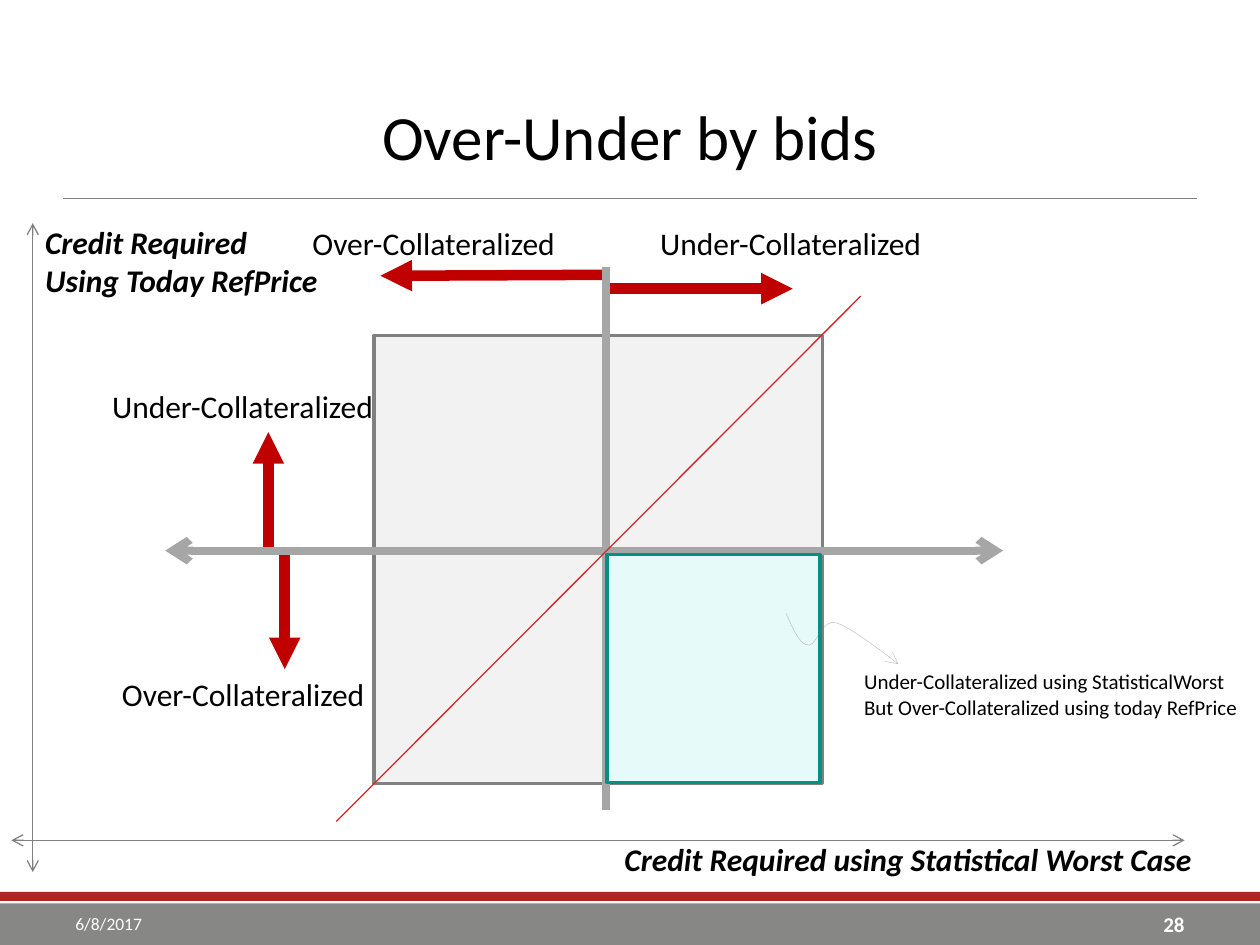
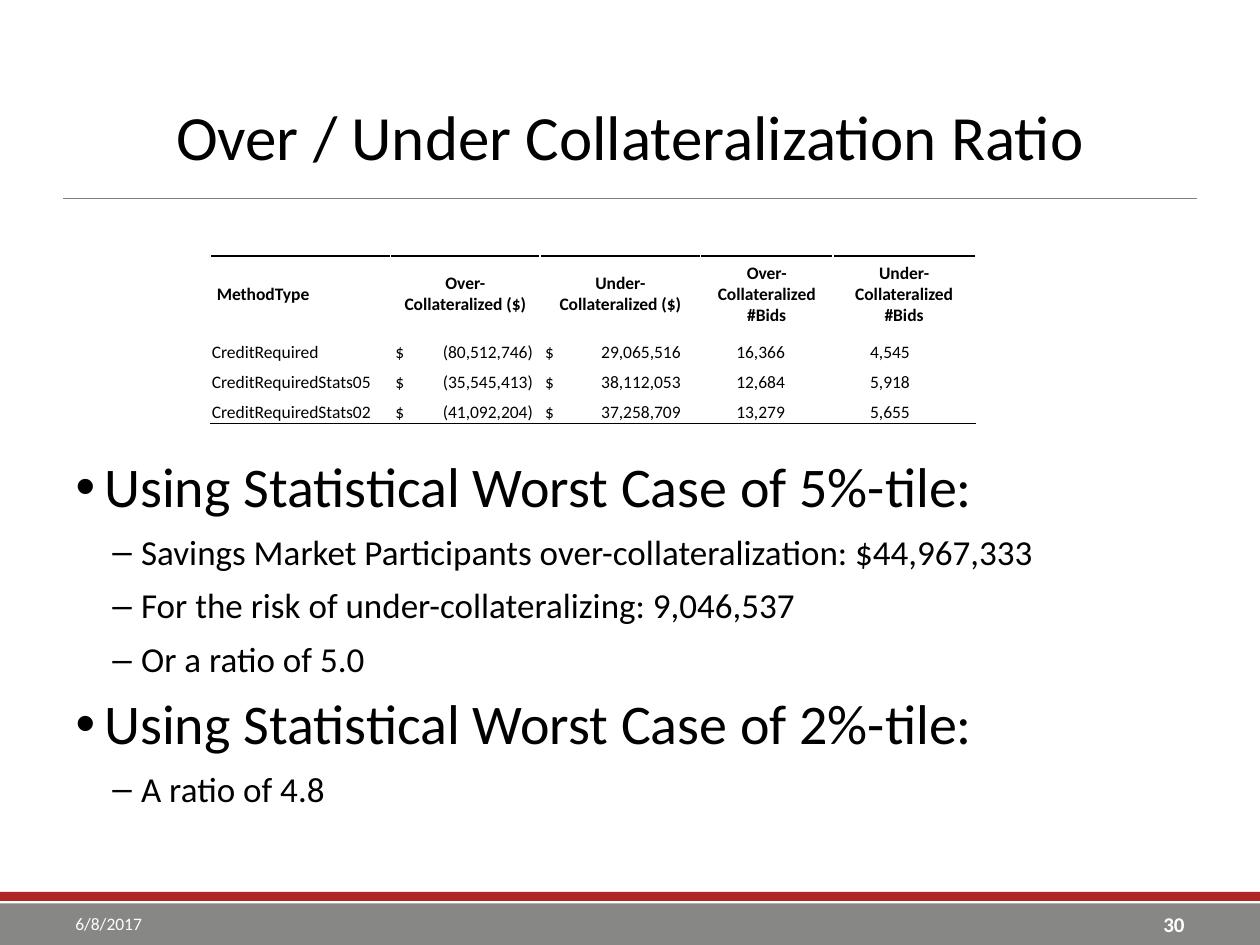
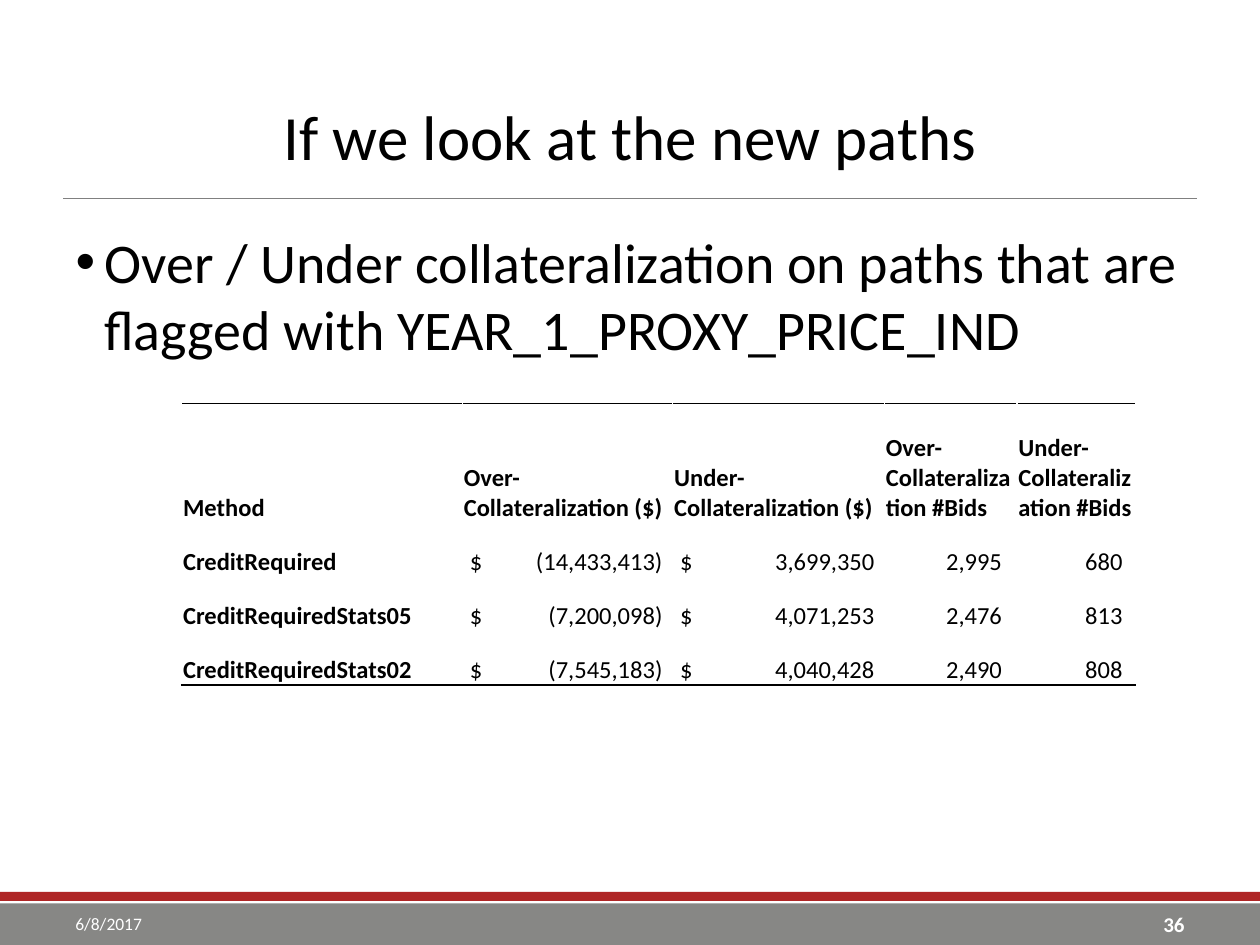
from dataclasses import dataclass

from lxml.etree import SubElement
from pptx import Presentation
from pptx.dml.color import RGBColor
from pptx.enum.shapes import MSO_CONNECTOR, MSO_SHAPE
from pptx.enum.text import MSO_ANCHOR, MSO_AUTO_SIZE, PP_ALIGN
from pptx.oxml.ns import qn
from pptx.util import Cm, Pt

# Shared look
FONT = "Calibri"
BLACK = RGBColor(0x00, 0x00, 0x00)
WHITE = RGBColor(0xFF, 0xFF, 0xFF)
BAND_RED = RGBColor(0xAF, 0x26, 0x26)
BAND_GRAY = RGBColor(0x87, 0x87, 0x85)
RULE_GRAY = RGBColor(0x80, 0x80, 0x80)
AXIS_GRAY = RGBColor(0xA6, 0xA6, 0xA6)
CURVE_GRAY = RGBColor(0x7F, 0x7F, 0x7F)
PALE_GRAY = RGBColor(0xF2, 0xF2, 0xF2)
ARROW_RED = RGBColor(0xC0, 0x00, 0x00)
DIAGONAL_RED = RGBColor(0xD0, 0x27, 0x2A)
TEAL = RGBColor(0x08, 0x8F, 0x7F)
PALE_TEAL = RGBColor(0xE7, 0xFA, 0xFA)

SLIDE_WIDTH, SLIDE_HEIGHT = 25.4, 19.05
MARGIN = 1.27
CONTENT_WIDTH = SLIDE_WIDTH - 2 * MARGIN
DATE = "6/8/2017"
TITLE_ONLY, TITLE_AND_BODY = 5, 1

Point = tuple[float, float]  # centimetres


@dataclass(frozen=True)
class Frame:
    left: float
    top: float
    width: float
    height: float

    def lengths(self) -> tuple:
        return Cm(self.left), Cm(self.top), Cm(self.width), Cm(self.height)


@dataclass(frozen=True)
class Line:
    start: Point
    end: Point
    color: RGBColor
    weight: float
    head: str = ""
    tail: str = ""


@dataclass(frozen=True)
class Label:
    frame: Frame
    lines: tuple[str, ...]
    size: float = 18
    strong: bool = False  # bold italic


@dataclass(frozen=True)
class Bullet:
    text: str
    level: int = 0


@dataclass(frozen=True)
class Column:
    heading: str
    width: float
    left: float = 0.03
    right: float = 0.03
    kind: str = "text"  # text, money or count


@dataclass(frozen=True)
class TableStyle:
    size: float
    header_height: float
    row_height: float
    header_inset: float
    header_anchor: MSO_ANCHOR
    header_align: PP_ALIGN
    bold_names: bool


# Text and drawing helpers
def style(para, size: float, color: RGBColor = BLACK, bold: bool = False, italic: bool = False) -> None:
    font = para.font
    font.name, font.size, font.bold, font.italic = FONT, Pt(size), bold, italic
    font.color.rgb = color


def add_ends(line, head: str, tail: str) -> None:
    outline = line._get_or_add_ln()
    for tag, kind in (("a:headEnd", head), ("a:tailEnd", tail)):
        if kind:
            SubElement(outline, qn(tag)).set("type", kind)


def draw_line(page, spec: Line):
    start, end = map(Cm, spec.start), map(Cm, spec.end)
    connector = page.shapes.add_connector(MSO_CONNECTOR.STRAIGHT, *start, *end)
    connector.line.color.rgb = spec.color
    connector.line.width = Pt(spec.weight)
    add_ends(connector.line, spec.head, spec.tail)
    SubElement(connector.element.spPr, qn("a:effectLst"))
    return connector


def draw_box(page, frame: Frame, fill: RGBColor, outline: RGBColor | None = None):
    box = page.shapes.add_shape(MSO_SHAPE.RECTANGLE, *frame.lengths())
    box.shadow.inherit = False
    box.fill.solid()
    box.fill.fore_color.rgb = fill
    if outline is None:
        box.line.fill.background()
    else:
        box.line.color.rgb = outline
        box.line.width = Pt(2)
    return box


def draw_label(page, label: Label) -> None:
    frame = page.shapes.add_textbox(*label.frame.lengths()).text_frame
    frame.word_wrap = False
    frame.auto_size = MSO_AUTO_SIZE.SHAPE_TO_FIT_TEXT
    frame.text = "\n".join(label.lines)
    for para in frame.paragraphs:
        style(para, label.size, bold=label.strong, italic=label.strong)


def draw_curve(page, start: Point, segments: list[tuple[Point, Point, Point]]) -> None:
    """Thin arrow along cubic curves, each given by two controls and an end."""
    steps, points = 10, []
    anchor = start
    for first, second, end in segments:
        for step in range(1, steps + 1):
            t = step / steps
            weights = ((1 - t) ** 3, 3 * t * (1 - t) ** 2, 3 * t * t * (1 - t), t ** 3)
            corners = (anchor, first, second, end)
            points.append(tuple(
                Cm(sum(w * corner[axis] for w, corner in zip(weights, corners)))
                for axis in (0, 1)
            ))
        anchor = end
    builder = page.shapes.build_freeform(*map(Cm, start))
    builder.add_line_segments(points, close=False)
    curve = builder.convert_to_shape()
    curve.shadow.inherit = False
    curve.fill.background()
    curve.line.color.rgb = CURVE_GRAY
    curve.line.width = Pt(0.25)
    color = curve.line._get_or_add_ln().find(".//" + qn("a:srgbClr"))
    SubElement(color, qn("a:alpha")).set("val", "50000")
    add_ends(curve.line, "", "arrow")


# Page furniture
def add_bands(deck, page) -> None:
    """Draw the bands and title rule, then move them to the master."""
    parts = [
        draw_box(page, Frame(0, 17.98, SLIDE_WIDTH, 0.18), BAND_RED),
        draw_box(page, Frame(0, 18.21, SLIDE_WIDTH, 0.84), BAND_GRAY),
        draw_line(page, Line((MARGIN, 4.01), (SLIDE_WIDTH - MARGIN, 4.01), RULE_GRAY, 0.5)),
    ]
    for number, part in enumerate(parts, start=101):
        part.element.find(".//" + qn("p:cNvPr")).set("id", str(number))
        deck.slide_master.shapes.element.append(part.element)


def place(shape, frame: Frame) -> None:
    shape.left, shape.top, shape.width, shape.height = frame.lengths()


def add_footer(page, left: float, text: str, size: float, align: PP_ALIGN, bold: bool) -> None:
    frame = page.shapes.add_textbox(*Frame(left, 18.24, 5.92, 0.76).lengths()).text_frame
    frame.word_wrap = True
    frame.vertical_anchor = MSO_ANCHOR.MIDDLE
    para = frame.paragraphs[0]
    para.text, para.alignment = text, align
    style(para, size, WHITE, bold)


def add_page(deck, layout: int, title: str, number: int):
    page = deck.slides.add_slide(deck.slide_layouts[layout])
    heading = page.shapes.title
    place(heading, Frame(MARGIN, 1.52, CONTENT_WIDTH, 2.41))
    heading.text_frame.text = title
    heading.text_frame.auto_size = MSO_AUTO_SIZE.NONE
    heading.text_frame.vertical_anchor = MSO_ANCHOR.MIDDLE
    para = heading.text_frame.paragraphs[0]
    para.alignment = PP_ALIGN.CENTER
    style(para, 36)
    add_footer(page, SLIDE_WIDTH - MARGIN - 5.92, str(number), 12, PP_ALIGN.RIGHT, True)
    add_footer(page, MARGIN, DATE, 10, PP_ALIGN.LEFT, False)
    return page


def fill_body(page, bullets: list[Bullet], spacing: float, top_inset: float = 0.13) -> None:
    body = page.placeholders[1]
    place(body, Frame(MARGIN, 4.45, CONTENT_WIDTH, 12.57))
    frame = body.text_frame
    frame.auto_size = MSO_AUTO_SIZE.NONE
    frame.margin_top = Cm(top_inset)
    frame.text = "\n".join(bullet.text for bullet in bullets)
    for para, bullet in zip(frame.paragraphs, bullets):
        para.level = bullet.level
        para.line_spacing = spacing
        para.space_before = Pt(9)
        properties = para._p.get_or_add_pPr()
        properties.set("marL", str(Cm((0.58, 1.32)[bullet.level])))
        properties.set("indent", str(-Cm(0.58)))
        SubElement(properties, qn("a:buChar")).set("char", "•–"[bullet.level])
        style(para, (32, 20)[bullet.level])


# Tables
def add_border(cell, tag: str) -> None:
    border = SubElement(cell._tc.get_or_add_tcPr(), qn(tag))
    border.set("w", str(Pt(1)))
    fill = SubElement(border, qn("a:solidFill"))
    SubElement(fill, qn("a:srgbClr")).set("val", str(BLACK))


def fill_value(cell, column: Column, value: str) -> None:
    para = cell.text_frame.paragraphs[0]
    cell.margin_left, cell.margin_right = Cm(column.left), Cm(column.right)
    cell.margin_top, cell.margin_bottom = Cm(0.03), 0
    cell.vertical_anchor = MSO_ANCHOR.BOTTOM
    if column.kind == "money":  # dollar sign left, amount on a right tab
        para.text = f"$\t{value}"
        cell.margin_right = 0
        tabs = SubElement(para._p.get_or_add_pPr(), qn("a:tabLst"))
        tab = SubElement(tabs, qn("a:tab"))
        tab.set("pos", str(Cm(column.width - column.left - column.right)))
        tab.set("algn", "r")
    else:
        para.text = value
        para.alignment = PP_ALIGN.RIGHT if column.kind == "count" else PP_ALIGN.LEFT


def fill_heading(cell, column: Column, look: TableStyle) -> None:
    para = cell.text_frame.paragraphs[0]
    para.text = column.heading
    para.alignment = PP_ALIGN.LEFT if column.kind == "text" else look.header_align
    cell.vertical_anchor = look.header_anchor
    inset = Cm(look.header_inset)
    cell.margin_left = cell.margin_right = cell.margin_top = inset
    cell.margin_bottom = inset if look.header_anchor == MSO_ANCHOR.MIDDLE else 0


def draw_table(page, corner: Point, columns: list[Column], records: list[tuple], look: TableStyle) -> None:
    width = sum(column.width for column in columns)
    height = look.header_height + look.row_height * len(records)
    table = page.shapes.add_table(
        len(records) + 1, len(columns), *Frame(*corner, width, height).lengths()
    ).table
    table.first_row = table.horz_banding = False
    for index, row in enumerate(table.rows):
        row.height = Cm(look.row_height if index else look.header_height)
    for across, column in enumerate(columns):
        table.columns[across].width = Cm(column.width)
        for down in range(len(records) + 1):
            cell = table.cell(down, across)
            if down == 0:
                fill_heading(cell, column, look)
                add_border(cell, "a:lnT")
            else:
                fill_value(cell, column, records[down - 1][across])
            if down in (0, len(records)):
                add_border(cell, "a:lnB")
            cell.fill.background()
            bold = down == 0 or (across == 0 and look.bold_names)
            style(cell.text_frame.paragraphs[0], look.size, bold=bold)


deck = Presentation()
deck.slide_width, deck.slide_height = Cm(SLIDE_WIDTH), Cm(SLIDE_HEIGHT)

# Slide 1: quadrant diagram
page = add_page(deck, TITLE_ONLY, "Over-Under by bids", 28)
add_bands(deck, page)
CENTER_X, CENTER_Y = 12.22, 11.1
OVER, UNDER = "Over-Collateralized", "Under-Collateralized"

for start, end in (
    ((5.41, 11.05), (5.41, 8.71)),
    ((5.74, CENTER_Y), (5.74, 13.49)),
    ((CENTER_X, 5.54), (7.67, 5.56)),
    ((CENTER_X, 5.82), (15.98, 5.82)),
):
    draw_line(page, Line(start, end, ARROW_RED, 6, tail="triangle"))

draw_box(page, Frame(7.54, 6.76, 9.04, 9.04), PALE_GRAY, RULE_GRAY)
for line in (
    Line((3.33, CENTER_Y), (20.22, CENTER_Y), AXIS_GRAY, 4.5, "arrow", "arrow"),
    Line((CENTER_X, 5.38), (CENTER_X, 16.33), AXIS_GRAY, 4.5),
    Line((6.78, 16.56), (17.35, 5.97), DIAGONAL_RED, 0.75),
    Line((0.66, 4.5), (0.66, 17.58), RULE_GRAY, 0.75, "arrow", "arrow"),
    Line((23.88, 16.94), (0.23, 16.94), RULE_GRAY, 0.75, "arrow", "arrow"),
):
    draw_line(page, line)

for label in (
    Label(Frame(2.01, 7.67, 5.84, 1.02), (UNDER,)),
    Label(Frame(6.05, 4.39, 5.46, 1.02), (OVER,)),
    Label(Frame(13.06, 4.39, 5.84, 1.02), (UNDER,)),
    Label(Frame(2.21, 13.49, 5.46, 1.02), (OVER,)),
    Label(Frame(0.66, 4.37, 6.07, 1.8), ("Credit Required", "Using Today RefPrice"), strong=True),
    Label(Frame(12.34, 16.81, 12.09, 1.02), ("Credit Required using Statistical Worst Case",), strong=True),
    Label(
        Frame(17.17, 13.36, 8.13, 1.27),
        (f"{UNDER} using StatisticalWorst", f"But {OVER} using today RefPrice"),
        size=12,
    ),
):
    draw_label(page, label)

draw_box(page, Frame(12.24, 11.18, 4.29, 4.6), PALE_TEAL, TEAL)
draw_curve(page, (15.85, 12.37), [
    ((15.98, 12.67), (16.13, 13.0), (16.28, 13.0)),
    ((16.46, 13.06), (16.54, 12.5), (16.84, 12.55)),
    ((17.15, 12.62), (18.11, 13.39), (18.11, 13.39)),
])

# Slide 2: ratio table above bullets
page = add_page(deck, TITLE_AND_BODY, "Over / Under Collateralization Ratio", 30)
fill_body(page, [
    Bullet("Using Statistical Worst Case of 5%-tile:"),
    Bullet("Savings Market Participants over-collateralization: $44,967,333", 1),
    Bullet("For the risk of under-collateralizing: 9,046,537", 1),
    Bullet("Or a ratio of 5.0", 1),
    Bullet("Using Statistical Worst Case of 2%-tile:"),
    Bullet("A ratio of 4.8", 1),
], spacing=0.9, top_inset=4.8)
draw_table(
    page, (4.24, 5.16),
    [
        Column("MethodType", 3.63),
        Column(f"{OVER} ($)", 3.02, 0.1, 0.15, "money"),
        Column(f"{UNDER} ($)", 3.23, 0.1, 0.4, "money"),
        Column(f"{OVER} #Bids", 2.67, right=0.97, kind="count"),
        Column(f"{UNDER} #Bids", 2.87, right=1.32, kind="count"),
    ],
    [
        ("CreditRequired", "(80,512,746)", "29,065,516", "16,366", "4,545"),
        ("CreditRequiredStats05", "(35,545,413)", "38,112,053", "12,684", "5,918"),
        ("CreditRequiredStats02", "(41,092,204)", "37,258,709", "13,279", "5,655"),
    ],
    TableStyle(10, 1.55, 0.61, 0.13, MSO_ANCHOR.MIDDLE, PP_ALIGN.CENTER, False),
)

# Slide 3: new paths
page = add_page(deck, TITLE_AND_BODY, "If we look at the new paths", 36)
fill_body(page, [
    Bullet("Over / Under collateralization on paths that are flagged with YEAR_1_PROXY_PRICE_IND"),
], spacing=1.0)
draw_table(
    page, (3.66, 8.13),
    [
        Column("Method", 5.66),
        Column("Over-Collateralization ($)", 4.24, 0.15, 0.2, "money"),
        Column("Under-Collateralization ($)", 4.27, 0.15, 0.2, "money"),
        Column("Over-Collateralization #Bids", 2.67, right=0.3, kind="count"),
        Column("Under-Collateralization #Bids", 2.39, right=0.26, kind="count"),
    ],
    [
        ("CreditRequired", "(14,433,413)", "3,699,350", "2,995", "680"),
        ("CreditRequiredStats05", "(7,200,098)", "4,071,253", "2,476", "813"),
        ("CreditRequiredStats02", "(7,545,183)", "4,040,428", "2,490", "808"),
    ],
    TableStyle(14, 2.41, 1.09, 0.03, MSO_ANCHOR.BOTTOM, PP_ALIGN.LEFT, True),
)

deck.save("out.pptx")
